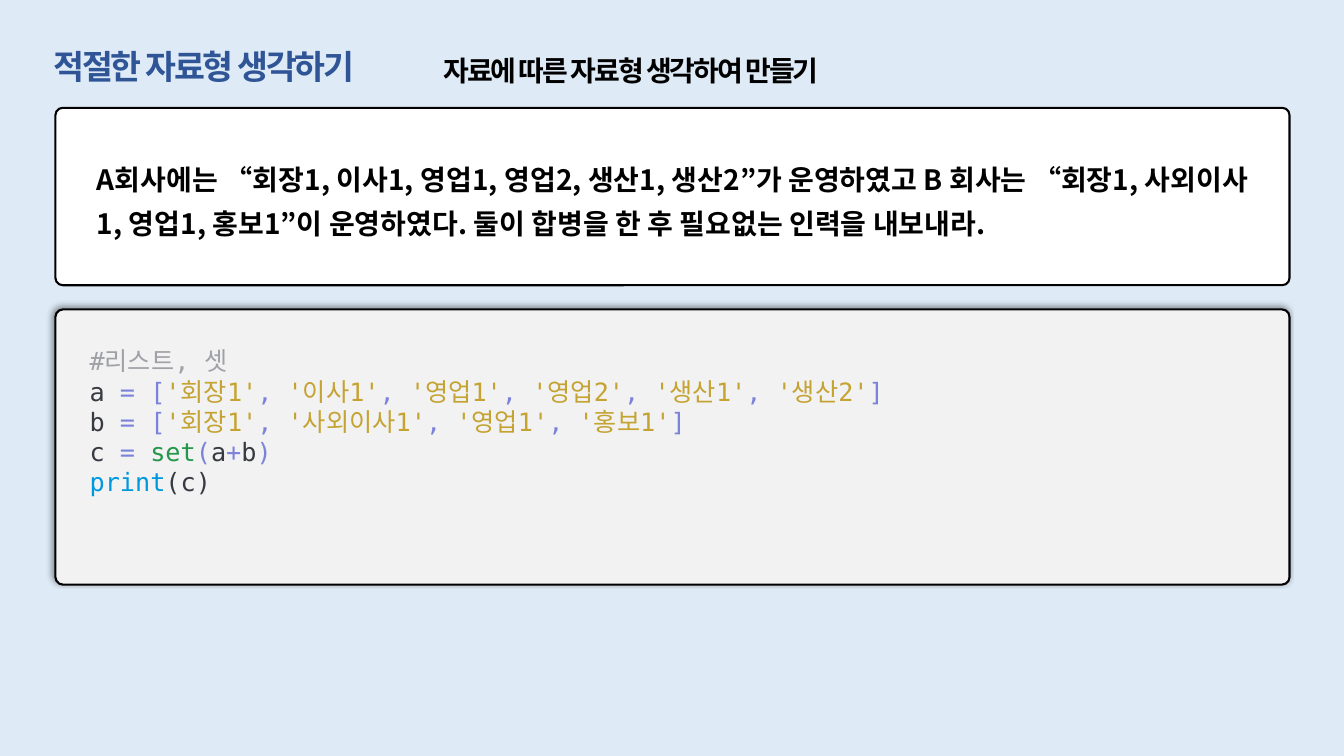
from dataclasses import dataclass

import pptx
import pptx.dml.color
import pptx.enum.shapes
import pptx.enum.text
import pptx.oxml
import pptx.oxml.ns
import pptx.util
from pptx.util import Inches

MSO_SHAPE = pptx.enum.shapes.MSO_SHAPE
ANCHOR = pptx.enum.text.MSO_ANCHOR
ALIGN = pptx.enum.text.PP_ALIGN
AUTO_SIZE = pptx.enum.text.MSO_AUTO_SIZE


@dataclass(frozen=True)
class Theme:
    korean: str = "Noto Sans CJK KR"
    mono: str = "DejaVu Sans Mono"
    title_size: int = 24
    body_size: int = 20
    code_size: int = 18
    background: str = "DEEBF7"
    title: str = "2F5597"
    ink: str = "000000"
    paper: str = "FFFFFF"
    code_paper: str = "F2F2F2"
    comment: str = "A0A1A7"
    name: str = "383A42"
    symbol: str = "7A82DA"
    string: str = "C5A332"
    builtin: str = "23974A"
    call: str = "0098DD"


THEME = Theme()


@dataclass(frozen=True)
class Style:
    font: str
    size: int
    bold: bool = False
    spacing: float = 0


@dataclass(frozen=True)
class Token:
    text: str
    color: str


@dataclass(frozen=True)
class Panel:
    top: float
    height: float
    corner: float
    fill: str


TITLE = Style(THEME.korean, THEME.title_size, True, -1.5)
SUBTITLE = Style(THEME.korean, THEME.body_size, True, -1.5)
QUESTION = Style(THEME.korean, THEME.body_size, True)
CODE = Style(THEME.mono, THEME.code_size)

PANEL_LEFT, PANEL_WIDTH = 0.55, 12.24
QUESTION_PANEL = Panel(1.07, 1.76, 0.041, THEME.paper)
CODE_PANEL = Panel(3.07, 2.73, 0.027, THEME.code_paper)

QUESTION_TEXT = (
    "A회사에는 “회장1, 이사1, 영업1, 영업2, 생산1, 생산2”가 운영하였고 "
    "B 회사는 “회장1, 사외이사1, 영업1, 홍보1”이 운영하였다. "
    "둘이 합병을 한 후 필요없는 인력을 내보내라."
)


def rgb(color: str) -> pptx.dml.color.RGBColor:
    return pptx.dml.color.RGBColor.from_string(color)


def write(paragraph, tokens: list[Token], style: Style) -> None:
    for token in tokens:
        run = paragraph.add_run()
        run.text = token.text
        run.font.name = style.font
        run.font.size = pptx.util.Pt(style.size)
        run.font.bold = style.bold
        run.font.color.rgb = rgb(token.color)
        properties = run.font._element
        if style.spacing:
            properties.set("spc", str(int(style.spacing * 100)))
        east_asian = pptx.oxml.parse_xml(
            f'<a:ea {pptx.oxml.ns.nsdecls("a")} typeface="{THEME.korean}"/>')
        properties.append(east_asian)


def list_line(variable: str, staff: list[str]) -> list[Token]:
    """Tokens of an assignment of a list of strings."""
    tokens = [Token(f"{variable} ", THEME.name)]
    for index, member in enumerate(staff):
        tokens.append(Token(", " if index else "= [", THEME.symbol))
        tokens.append(Token(f"'{member}'", THEME.string))
    return tokens + [Token("]", THEME.symbol)]


def add_panel(slide, panel: Panel):
    box = slide.shapes.add_shape(
        MSO_SHAPE.ROUNDED_RECTANGLE, Inches(PANEL_LEFT), Inches(panel.top),
        Inches(PANEL_WIDTH), Inches(panel.height))
    box.adjustments[0] = panel.corner
    box.fill.solid()
    box.fill.fore_color.rgb = rgb(panel.fill)
    box.line.color.rgb = rgb(THEME.ink)
    box.line.width = pptx.util.Pt(1.5)
    box.shadow.inherit = False
    return box


def add_soft_shadow(box) -> None:
    effects = box._element.spPr.find(pptx.oxml.ns.qn("a:effectLst"))
    effects.append(pptx.oxml.parse_xml(
        f'<a:outerShdw {pptx.oxml.ns.nsdecls("a")} blurRad="{pptx.util.Pt(4)}" '
        f'dist="{pptx.util.Pt(3)}" dir="{225 * 60000}" algn="br" rotWithShape="0">'
        f'<a:srgbClr val="{THEME.ink}"><a:alpha val="40000"/></a:srgbClr>'
        '</a:outerShdw>'))


def add_header(slide) -> None:
    band = slide.shapes.add_shape(
        MSO_SHAPE.RECTANGLE, 0, Inches(0.41), Inches(13.33), Inches(0.5))
    band.fill.solid()
    band.fill.fore_color.rgb = rgb(THEME.background)
    band.line.fill.background()
    band.shadow.inherit = False
    frame = band.text_frame
    frame.word_wrap = True
    frame.auto_size = AUTO_SIZE.SHAPE_TO_FIT_TEXT
    frame.vertical_anchor = ANCHOR.TOP
    frame.margin_left = Inches(0.53)
    frame.paragraphs[0].alignment = ALIGN.LEFT
    write(frame.paragraphs[0], [Token("적절한 자료형 생각하기", THEME.title)], TITLE)

    subtitle = slide.shapes.add_textbox(
        Inches(4.3), Inches(0.48), Inches(4.4), Inches(0.44)).text_frame
    subtitle.word_wrap = False
    subtitle.auto_size = AUTO_SIZE.SHAPE_TO_FIT_TEXT
    write(subtitle.paragraphs[0],
          [Token("자료에 따른 자료형 생각하여 만들기", THEME.ink)], SUBTITLE)


def add_question(slide) -> None:
    frame = add_panel(slide, QUESTION_PANEL).text_frame
    frame.word_wrap = True
    frame.vertical_anchor = ANCHOR.MIDDLE
    frame.margin_left = frame.margin_right = Inches(0.39)
    paragraph = frame.paragraphs[0]
    paragraph.alignment = ALIGN.JUSTIFY
    paragraph.line_spacing = 1.3
    write(paragraph, [Token(QUESTION_TEXT, THEME.ink)], QUESTION)


def add_code(slide) -> None:
    add_soft_shadow(add_panel(slide, CODE_PANEL))
    lines = [
        [Token("#리스트, 셋", THEME.comment)],
        list_line("a", ["회장1", "이사1", "영업1", "영업2", "생산1", "생산2"]),
        list_line("b", ["회장1", "사외이사1", "영업1", "홍보1"]),
        [Token("c ", THEME.name), Token("= ", THEME.symbol),
         Token("set", THEME.builtin), Token("(", THEME.symbol),
         Token("a", THEME.name), Token("+", THEME.symbol),
         Token("b", THEME.name), Token(")", THEME.symbol)],
        [Token("print", THEME.call), Token("(c)", THEME.name)],
    ]
    frame = slide.shapes.add_textbox(
        Inches(0.79), Inches(3.38), Inches(9.31), Inches(1.62)).text_frame
    frame.word_wrap = True
    frame.auto_size = AUTO_SIZE.SHAPE_TO_FIT_TEXT
    for index, tokens in enumerate(lines):
        paragraph = frame.add_paragraph() if index else frame.paragraphs[0]
        write(paragraph, tokens, CODE)


def main() -> None:
    deck = pptx.Presentation()
    deck.slide_width, deck.slide_height = Inches(13.33), Inches(7.5)
    slide = deck.slides.add_slide(deck.slide_layouts[6])
    slide.background.fill.solid()
    slide.background.fill.fore_color.rgb = rgb(THEME.background)
    add_header(slide)
    add_question(slide)
    add_code(slide)
    deck.save("out.pptx")


if __name__ == "__main__":
    main()
